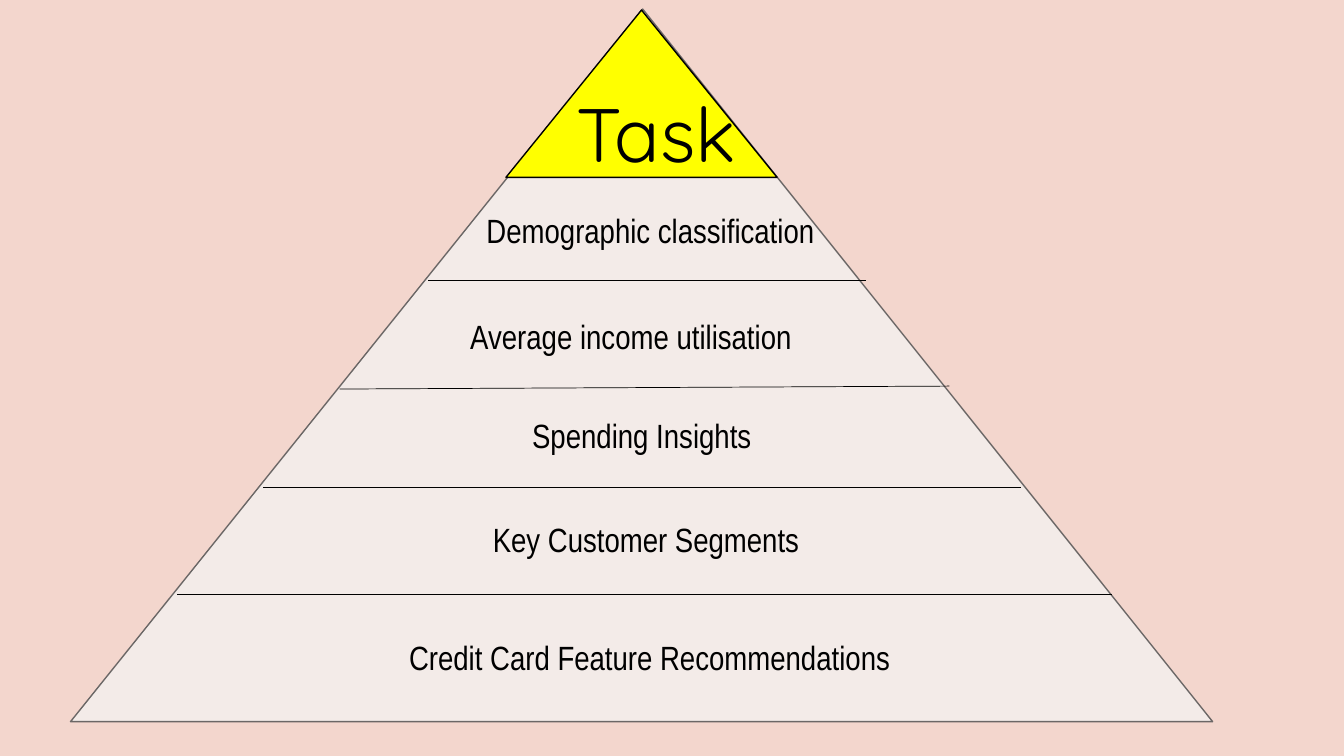
from lxml import etree
from pptx import Presentation
from pptx.dml.color import RGBColor
from pptx.enum.shapes import MSO_CONNECTOR, MSO_SHAPE
from pptx.enum.text import MSO_ANCHOR, PP_ALIGN
from pptx.oxml.ns import qn
from pptx.util import Pt

LINE = MSO_CONNECTOR.STRAIGHT
CONE = MSO_SHAPE.ISOSCELES_TRIANGLE
MID, TOP = MSO_ANCHOR.MIDDLE, MSO_ANCHOR.TOP
LEFT = PP_ALIGN.LEFT

HUES = {"back": "F3D6CD", "body": "F3EBE8", "edge": "6B6766",
        "peak": "FFFF00", "ink": "000000"}

# Label, left, top, width: offsets from the pyramid's box
LABELS = [
    ("Demographic classification", 290, 139.7, 260),
    ("Average income utilisation", 278.4, 215.3, 275),
    ("Spending Insights", 322.6, 286.5, 275),
    ("Key Customer Segments", 294.5, 360.7, 248),
    ("Credit Card Feature Recommendations", 234.7, 444.9, 480),
]

# Start and end of each divider: offsets from the pyramid's box
RULES = [
    (313.9, 120.2, 504, 120.2),
    (255.6, 193.7, 568.1, 193.7),
    (192.2, 271.4, 627.8, 269.3),
    (137.5, 341.3, 679, 341.3),
    (76.3, 418.3, 743.8, 418.3),
]


def hue(name):
    return RGBColor.from_string(HUES[name])


def add_cone(slide, box, fill, edge, tip=0.5):
    cone = slide.shapes.add_shape(CONE, *map(Pt, box))
    cone.adjustments[0] = tip
    cone.shadow.inherit = False
    cone.fill.solid()
    cone.fill.fore_color.rgb = hue(fill)
    cone.line.color.rgb = hue(edge)
    cone.line.width = Pt(1)


def add_rule(slide, x1, y1, x2, y2):
    rule = slide.shapes.add_connector(LINE, *map(Pt, (x1, y1, x2, y2)))
    rule.line.color.rgb = hue("ink")
    rule.line.width = Pt(0.5)
    etree.SubElement(rule._element.spPr, qn("a:effectLst"))


def set_text(shape, text, face, size, anchor, wrap=True):
    frame = shape.text_frame
    frame.word_wrap = wrap
    frame.vertical_anchor = anchor
    frame.text = text
    para = frame.paragraphs[0]
    para.alignment = LEFT
    font = para.runs[0].font
    for key, value in {"name": face, "size": Pt(size), "bold": False}.items():
        setattr(font, key, value)
    font.color.rgb = hue("ink")


def draw_base(slide, box):
    """Large pyramid with its labels and dividers."""
    x, y = box[:2]
    add_cone(slide, box, "body", "edge", 0.501)
    for text, dx, dy, wide in LABELS:
        label = slide.shapes.add_textbox(Pt(x + dx), Pt(y + dy), Pt(wide), Pt(36))
        set_text(label, text, "Arial Narrow", 24, TOP)
    for x1, y1, x2, y2 in RULES:
        add_rule(slide, x + x1, y + y1, x + x2, y + y2)


def draw_peak(slide, box):
    """Yellow tip with the slide title in front."""
    x, y = box[:2]
    add_cone(slide, box, "peak", "ink")
    title = slide.shapes.title
    place = {"left": x + 43.2, "top": y + 49.7, "width": 148.3, "height": 75.6}
    for key, value in place.items():
        setattr(title, key, Pt(value))
    set_text(title, "Task", "Quicksand", 54, MID, wrap=False)
    slide.shapes._spTree.append(title._element)


def main():
    deck = Presentation()
    deck.slide_width, deck.slide_height = Pt(960), Pt(540)
    slide = deck.slides.add_slide(deck.slide_layouts[5])
    slide.background.fill.solid()
    slide.background.fill.fore_color.rgb = hue("back")
    draw_base(slide, (50.4, 6.5, 815.8, 509))
    draw_peak(slide, (361.4, 7.2, 193.7, 119.5))
    deck.save("out.pptx")


if __name__ == "__main__":
    main()
